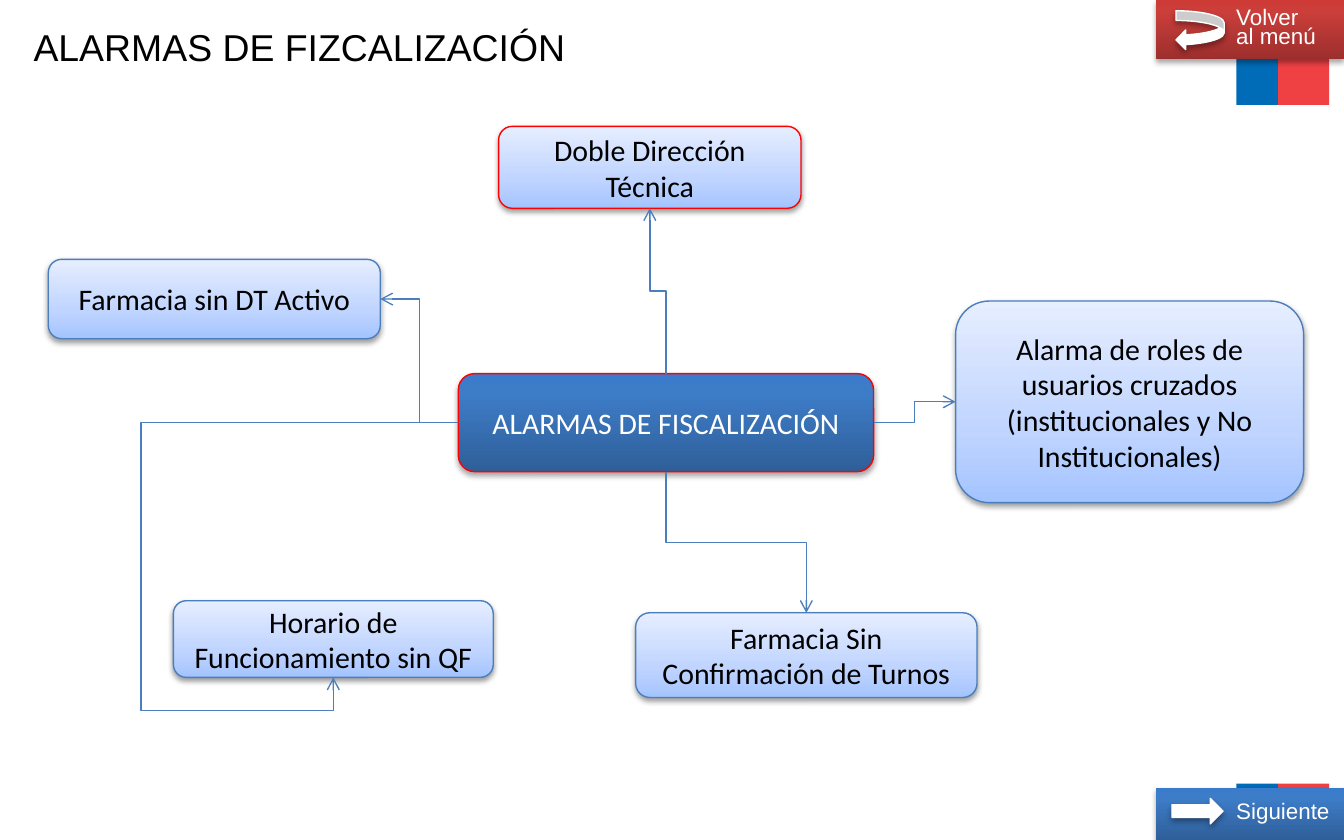
from lxml import etree
from pptx import Presentation
from pptx import util as u
from pptx.dml.color import RGBColor
from pptx.enum import shapes, text
from pptx.oxml.ns import qn

Inches = u.Inches
SHAPE = shapes.MSO_SHAPE
COLORS = {"blue": "006CB7", "red": "EF4144", "line": "4B7EBC", "alert": "FF0000",
          "white": "FFFFFF", "black": "000000"}
GRADIENTS = {
    "dark": [(0, "2F5F99"), (80, "3D7CC7"), (100, "3A7CCB")],
    "light": [(0, "A4C4FF"), (35, "BFD4FF"), (100, "E6EEFF")],
    "red": [(0, "9C2F2D"), (80, "CB3E3A"), (100, "CE3B37")],
}
CENTER = text.PP_ALIGN.CENTER
TITLE = {"name": "Arial", "size": u.Pt(20)}
NODE = {"name": "Calibri", "size": u.Pt(16)}
BUTTON = {"name": "Arial", "size": u.Pt(12)}


def rgb(name):
    return RGBColor.from_string(COLORS[name])


def sub(parent, tag, **attrs):
    return etree.SubElement(parent, qn(tag), {k: str(v) for k, v in attrs.items()})


def add_shape(s, kind, box, fill, line=None, shadow=None):
    """Add a preset shape; shadow is (opacity %, distance pt)."""
    sp = s.shapes.add_shape(kind, *map(Inches, box))
    if fill in GRADIENTS and shadow and kind != SHAPE.RIGHT_ARROW:
        sp.fill.gradient()
        sp.fill.gradient_angle = 90
        stops = sp._element.spPr.find(".//" + qn("a:gsLst"))
        for old in list(stops):
            stops.remove(old)
        for pos, color in GRADIENTS[fill]:
            sub(sub(stops, "a:gs", pos=pos * 1000), "a:srgbClr", val=color)
    else:
        sp.fill.solid()
        sp.fill.fore_color.rgb = rgb(fill)
    if line:
        sp.line.color.rgb = rgb(line)
        sp.line.width = u.Pt(0.75)
    else:
        sp.line.fill.background()
    sp.shadow.inherit = False
    if shadow:
        opacity, dist = shadow
        effects = sp._element.spPr.find(qn("a:effectLst"))
        outer = sub(effects, "a:outerShdw", blurRad=u.Pt(3.1), dist=u.Pt(dist),
                    dir=5400000, rotWithShape=0)
        sub(sub(outer, "a:srgbClr", val=COLORS["black"]), "a:alpha", val=opacity * 1000)
    return sp


def write(sp, lines, font, color, align=text.PP_ALIGN.LEFT, spacing=None, indent=0):
    tf = sp.text_frame
    tf.vertical_anchor = text.MSO_ANCHOR.MIDDLE
    for i, line in enumerate(lines):
        p = tf.paragraphs[0] if i == 0 else tf.add_paragraph()
        p.alignment = align
        if spacing:
            p.line_spacing = spacing
        if indent:
            p._p.get_or_add_pPr().set("marL", str(Inches(indent)))
        r = p.add_run()
        r.text = line
        for key, value in font.items():
            setattr(r.font, key, value)
        r.font.color.rgb = rgb(color)


def flag_bars(s, top, height):
    add_shape(s, SHAPE.RECTANGLE, (9.2, top, 0.31, height), "blue")
    bar = add_shape(s, SHAPE.RECTANGLE, (9.51, top, 0.38, height), "white")
    bar.fill.fore_color.rgb = rgb("red")


def title(s, box, words):
    tb = s.shapes.add_textbox(*map(Inches, box))
    tf = tb.text_frame
    for side in ("left", "right", "top", "bottom"):
        setattr(tf, "margin_" + side, 0)
    tf.word_wrap = False
    write(tb, [words], TITLE, "black", spacing=0.9)


def node(s, box, words, line="line", fill="light"):
    dark = fill == "dark"
    sp = add_shape(s, SHAPE.ROUNDED_RECTANGLE, box, fill, line,
                   (35, 1.8) if dark else (38, 1.6))
    write(sp, [words], NODE, "white" if dark else "black", CENTER)
    return sp


def elbow(s, start, start_site, end, end_site, adjust=()):
    """Join two nodes with a bent arrow that leaves along the start side's normal."""
    c = s.shapes.add_connector(shapes.MSO_CONNECTOR.ELBOW, 0, 0, 0, 0)
    c.begin_connect(start, start_site)
    c.end_connect(end, end_site)
    x, y = c.begin_x, c.begin_y
    dx, dy = c.end_x - x, c.end_y - y
    w, h = abs(dx), abs(dy)
    if start_site in (0, 2):
        w, h = h, w
        rot, flip_h, flip_v = 270, dy > 0, dx < 0
    else:
        rot, flip_h, flip_v = 180 * (dx < 0), False, (dx < 0) != (dy < 0)
    c.left, c.top = int(x + dx / 2 - w / 2), int(y + dy / 2 - h / 2)
    c.width, c.height = w, h
    spPr = c._element.spPr
    xfrm = spPr.find(qn("a:xfrm"))
    for key, value in {"rot": rot * 60000, "flipH": int(flip_h), "flipV": int(flip_v)}.items():
        xfrm.set(key, str(value))
    if adjust:
        geom = spPr.find(qn("a:prstGeom"))
        geom.set("prst", "bentConnector4")
        guides = geom.find(qn("a:avLst"))
        if guides is None:
            guides = sub(geom, "a:avLst")
        for i, value in enumerate(adjust, 1):
            sub(guides, "a:gd", name=f"adj{i}", fmla=f"val {round(value * 100000)}")
    c.line.color.rgb = rgb("line")
    c.line.width = u.Pt(0.75)
    sub(c.line._get_or_add_ln(), "a:tailEnd", type="arrow")
    sub(spPr, "a:effectLst")


def alarm_map(s):
    # Central topic
    hub = node(s, (3.41, 2.78, 3.09, 0.73), "ALARMAS DE FISCALIZACIÓN", "alert", "dark")
    # Alarms: box, words, outline, side of hub, side of alarm, bend
    alarms = [
        ((0.36, 1.93, 2.47, 0.59), "Farmacia sin DT Activo", "line", 1, 3, ()),
        ((7.11, 2.24, 2.59, 1.5),
         "Alarma de roles de usuarios cruzados (institucionales y No Institucionales)",
         "line", 3, 1, ()),
        ((1.29, 4.47, 2.38, 0.57), "Horario de Funcionamiento sin QF", "line", 1, 2,
         (2.54, 1.13)),
        ((3.71, 0.94, 2.25, 0.61), "Doble Dirección Técnica", "alert", 0, 2, ()),
        ((4.73, 4.56, 2.54, 0.63), "Farmacia Sin Confirmación de Turnos", "line", 2, 0, ()),
    ]
    for box, words, line, hub_site, site, bend in alarms:
        elbow(s, hub, hub_site, node(s, box, words, line), site, bend)


def button(s, box, lines, fill, icon, icon_box):
    left, top = box[:2]
    sp = add_shape(s, SHAPE.RECTANGLE, box, fill, shadow=(35, 1.8))
    write(sp, lines, BUTTON, "white", spacing=0.7, indent=0.5)
    dx, dy, w, h = icon_box
    add_shape(s, icon, (left + dx, top + dy, w, h), "white", "white", (35, 1.8))


def main():
    prs = Presentation()
    prs.slide_width, prs.slide_height = Inches(10), Inches(6.25)
    s = prs.slides.add_slide(prs.slide_layouts[6])
    # Colour bars at the right edge
    flag_bars(s, 0, 0.78)
    flag_bars(s, 5.83, 0.42)
    # Diagram and heading
    alarm_map(s)
    title(s, (0.25, 0, 7.83, 0.74), "ALARMAS DE FIZCALIZACIÓN")
    # Navigation buttons
    button(s, (8.6, 5.86, 1.4, 0.39), ["Siguiente"], "dark",
           SHAPE.RIGHT_ARROW, (0.12, 0.08, 0.38, 0.19))
    button(s, (8.6, 0, 1.4, 0.44), ["Volver", "al menú"], "red",
           SHAPE.CURVED_LEFT_ARROW, (0.15, 0.08, 0.36, 0.29))
    prs.save("out.pptx")


if __name__ == "__main__":
    main()
